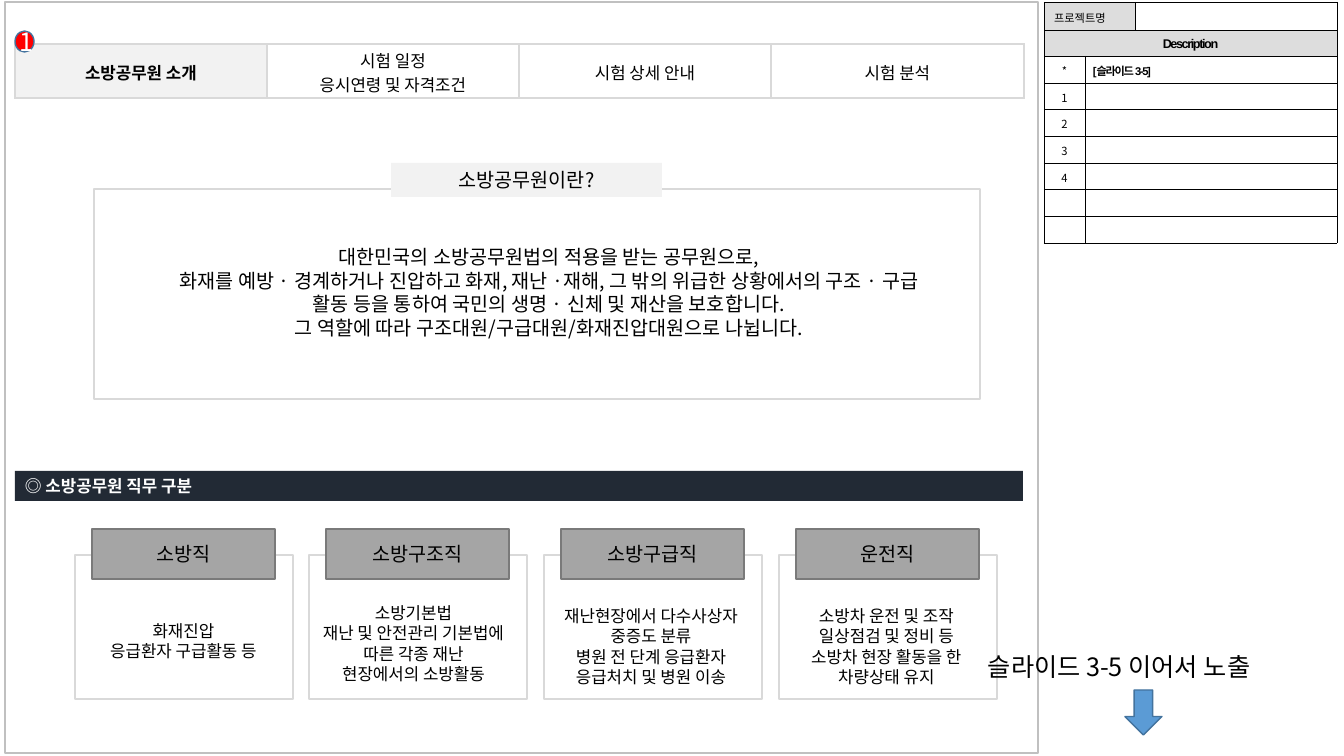
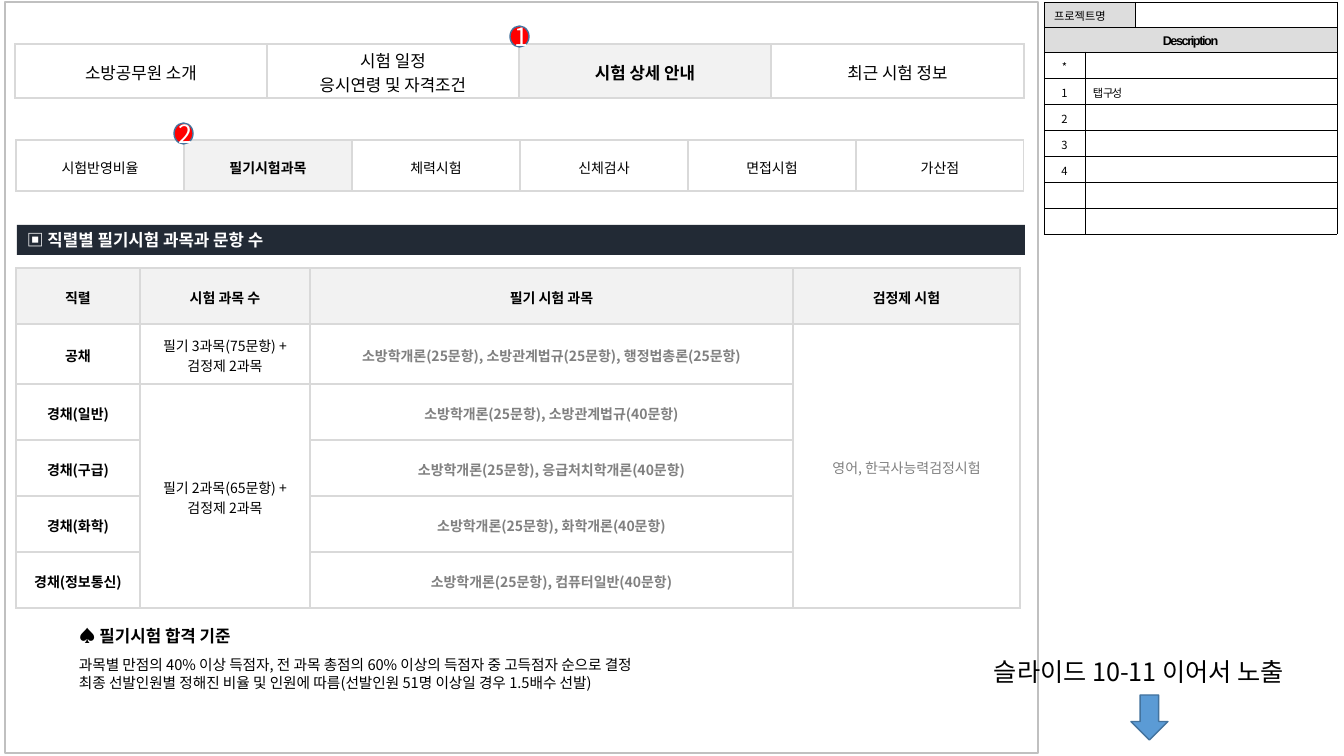
"""Build two storyboard slides about firefighter recruitment."""
from dataclasses import dataclass, replace
from typing import NamedTuple, Optional

from lxml.etree import SubElement
from pptx import Presentation
from pptx.dml.color import RGBColor
from pptx.enum.shapes import MSO_SHAPE
from pptx.enum.text import MSO_ANCHOR, PP_ALIGN
from pptx.oxml import parse_xml
from pptx.oxml.ns import nsdecls, qn
from pptx.util import Emu, Pt

EMU_PER_PX = 914400 / 100.8
KOREAN, LATIN = "Noto Sans CJK KR", "Arial"
BLACK, WHITE, GRAY = "000000", "FFFFFF", "808080"
PALE, RULE, NAVY = "F2F2F2", "D9D9D9", "222A35"
LABEL_FILL, BLUE_EDGE = "DDDDDD", "43739E"


class Box(NamedTuple):
    left: int
    top: int
    width: int
    height: int


@dataclass(frozen=True)
class Style:
    size: float
    font: str = KOREAN
    color: str = BLACK
    bold: bool = False
    centered: bool = True
    tracking: int = 0
    leading: Optional[float] = None


@dataclass(frozen=True)
class Cell:
    text: str
    style: Style
    fill: Optional[str] = None


@dataclass(frozen=True)
class Duty:
    title: str
    text: str
    text_box: Box


@dataclass(frozen=True)
class Note:
    marker: str
    text: str
    bold: bool


BODY = Style(12, leading=1.2)
HEADING = Style(14)
BAND = Style(12, color=WHITE, bold=True, centered=False)
SMALL = Style(8)
SUBJECT = Style(10)
SUBJECT_BOLD = replace(SUBJECT, bold=True)

INTRO = """대한민국의 소방공무원법의 적용을 받는 공무원으로,
화재를 예방 · 경계하거나 진압하고 화재, 재난 ·재해, 그 밖의 위급한 상황에서의 구조 · 구급 활동 등을 통하여 국민의 생명 · 신체 및 재산을 보호합니다.
그 역할에 따라 구조대원/구급대원/화재진압대원으로 나뉩니다."""
CRITERIA = """과목별 만점의 40% 이상 득점자, 전 과목 총점의 60% 이상의 득점자 중 고득점자 순으로 결정
최종 선발인원별 정해진 비율 및 인원에 따름(선발인원 51명 이상일 경우 1.5배수 선발)"""
DUTIES = [
    Duty("소방직", "화재진압\n응급환자 구급활동 등", Box(90, 616, 187, 51)),
    Duty("소방구조직", "소방기본법\n재난 및 안전관리 기본법에 따른 각종 재난\n현장에서의 소방활동",
         Box(307, 598, 213, 92)),
    Duty("소방구급직", "재난현장에서 다수사상자 중증도 분류\n병원 전 단계 응급환자\n응급처치 및 병원 이송",
         Box(548, 601, 206, 92)),
    Duty("운전직", "소방차 운전 및 조작\n일상점검 및 정비 등\n소방차 현장 활동을 한\n차량상태 유지",
         Box(793, 601, 187, 92)),
]
MAIN_TABS = ["소방공무원 소개", "시험 일정\n응시연령 및 자격조건", "시험 상세 안내"]
EXAM_TABS = ["시험반영비율", "필기시험과목", "체력시험", "신체검사", "면접시험", "가산점"]
SUBJECT_HEADS = ["직렬", "시험 과목 수", "필기 시험 과목"]
SUBJECTS = [
    ("공채", "필기 3과목(75문항) + 검정제 2과목",
     "소방학개론(25문항), 소방관계법규(25문항), 행정법총론(25문항)"),
    ("경채(일반)", "필기 2과목(65문항) + 검정제 2과목", "소방학개론(25문항), 소방관계법규(40문항)"),
    ("경채(구급)", "", "소방학개론(25문항), 응급처치학개론(40문항)"),
    ("경채(화학)", "", "소방학개론(25문항), 화학개론(40문항)"),
    ("경채(정보통신)", "", "소방학개론(25문항), 컴퓨터일반(40문항)"),
]


def px(length: int) -> Emu:
    return Emu(round(length * EMU_PER_PX))


def rgb(color: str) -> RGBColor:
    return RGBColor.from_string(color)


def split(total: int, count: int) -> list[int]:
    return [(i + 1) * total // count - i * total // count for i in range(count)]


def write(frame, text: str, style: Style) -> None:
    for i, line in enumerate(text.split("\n")):
        paragraph = frame.add_paragraph() if i else frame.paragraphs[0]
        paragraph.text = line
        paragraph.alignment = PP_ALIGN.CENTER if style.centered else PP_ALIGN.LEFT
        if style.leading:
            paragraph.line_spacing = Pt(style.size * style.leading)
        font = paragraph.font
        font.size, font.bold, font.name = Pt(style.size), style.bold, style.font
        font.color.rgb = rgb(style.color)
        defaults = paragraph._p.pPr.find(qn("a:defRPr"))
        SubElement(defaults, qn("a:ea")).set("typeface", KOREAN)
        if style.tracking:
            defaults.set("spc", str(style.tracking))
        if not line:
            SubElement(paragraph._p, qn("a:endParaRPr")).set("sz", str(int(style.size * 100)))


def add_text(slide, box: Box, text: str, style: Style) -> None:
    frame = slide.shapes.add_textbox(*map(px, box)).text_frame
    frame.word_wrap = True
    write(frame, text, style)


def add_block(slide, box: Box, fill: Optional[str] = None, line: Optional[str] = None,
              text: str = "", style: Style = BODY, preset=MSO_SHAPE.RECTANGLE):
    block = slide.shapes.add_shape(preset, *map(px, box))
    block.shadow.inherit = False
    if fill:
        block.fill.solid()
        block.fill.fore_color.rgb = rgb(fill)
    else:
        block.fill.background()
    if line:
        block.line.color.rgb = rgb(line)
        block.line.width = Pt(1)
    else:
        block.line.fill.background()
    if text:
        frame = block.text_frame
        frame.margin_top = frame.margin_bottom = 0
        frame.vertical_anchor = MSO_ANCHOR.MIDDLE
        write(frame, text, style)
    return block


def add_borders(cell, color: str, width: float) -> None:
    properties = cell._tc.get_or_add_tcPr()
    for i, side in enumerate("LRTB"):
        properties.insert(i, parse_xml(
            f'<a:ln{side} {nsdecls("a")} w="{int(Pt(width))}"><a:solidFill>'
            f'<a:srgbClr val="{color}"/></a:solidFill></a:ln{side}>'))


def add_grid(slide, left: int, top: int, widths: list[int], heights: list[int],
             rows: list[list[Cell]], border: str = RULE, border_width: float = 1):
    box = Box(left, top, sum(widths), sum(heights))
    table = slide.shapes.add_table(len(heights), len(widths), *map(px, box)).table
    table.first_row = table.horz_banding = False
    for column, width in zip(table.columns, widths):
        column.width = px(width)
    for row, height in zip(table.rows, heights):
        row.height = px(height)
    for r, cells in enumerate(rows):
        for c, content in enumerate(cells):
            cell = table.cell(r, c)
            cell.margin_top, cell.margin_bottom = px(3), 0
            cell.vertical_anchor = MSO_ANCHOR.MIDDLE
            write(cell.text_frame, content.text, content.style)
            if content.fill:
                cell.fill.solid()
                cell.fill.fore_color.rgb = rgb(content.fill)
            else:
                cell.fill.background()
            add_borders(cell, border, border_width)
    return table


def add_tabs(slide, box: Box, labels: list[str], active: int, size: int) -> None:
    cells = [Cell(label, Style(size, LATIN, bold=i == active), PALE if i == active else None)
             for i, label in enumerate(labels)]
    add_grid(slide, box.left, box.top, split(box.width, len(labels)), [box.height], [cells])


def add_main_tabs(slide, last: str, active: int) -> None:
    add_tabs(slide, Box(15, 44, 1009, 54), [*MAIN_TABS, last], active, 12)


def add_description(slide, first_height: int, other_heights: int, note: Note) -> None:
    blank = Cell("", SMALL, WHITE)
    label = Cell("프로젝트명", replace(SMALL, centered=False), LABEL_FILL)
    title = Cell("Description", Style(9, LATIN, bold=True, tracking=-100), LABEL_FILL)
    note_style = Style(8, LATIN, bold=note.bold, centered=False, tracking=-100)
    rows = [[label, blank, blank], [title, blank, blank]]
    for marker in ["*", "1", "2", "3", "4", "", ""]:
        entry = Cell(note.text, note_style, WHITE) if marker == note.marker else blank
        rows.append([Cell(marker, SMALL, WHITE), entry, blank])
    heights = [first_height, *split(other_heights, 8)]
    table = add_grid(slide, 1044, 2, [41, 50, 202], heights, rows, BLACK, 0.25)
    table.cell(0, 0).merge(table.cell(0, 1))
    table.cell(1, 0).merge(table.cell(1, 2))
    for r in range(2, len(rows)):
        table.cell(r, 1).merge(table.cell(r, 2))
        table.cell(r, 1).margin_left = px(8)


def add_marker(slide, left: int, top: int, number: str) -> None:
    marker = add_block(slide, Box(left, top, 19, 21), "FF0000", BLUE_EDGE, number,
                       Style(18, color=WHITE), MSO_SHAPE.OVAL)
    marker.text_frame.margin_left, marker.text_frame.margin_right = px(4), 0
    marker.text_frame.word_wrap = False


def add_continuation(slide, left: int, top: int, text: str) -> None:
    add_block(slide, Box(left + 147, top + 44, 37, 45), "5B9BD5", BLUE_EDGE,
              preset=MSO_SHAPE.DOWN_ARROW)
    add_text(slide, Box(left, top, 353, 40), text, Style(18, centered=False, leading=1.2))


def add_band(slide, left: int, top: int, text: str) -> None:
    add_block(slide, Box(left, top, 1008, 30), NAVY, text=text, style=BAND)


def start_slide(deck):
    slide = deck.slides.add_slide(deck.slide_layouts[6])
    add_block(slide, Box(5, 2, 1033, 751), line="C0C0C0")
    return slide


def build_introduction(deck) -> None:
    slide = start_slide(deck)
    add_description(slide, 28, 213, Note("*", "[슬라이드 3-5]", True))
    add_text(slide, Box(153, 240, 792, 105), INTRO, replace(HEADING, leading=1.2))
    add_block(slide, Box(94, 189, 886, 210), line=RULE)
    add_block(slide, Box(391, 163, 271, 34), PALE, text="소방공무원이란?", style=HEADING)
    for i, duty in enumerate(DUTIES):
        left = 75 + i * 704 // 3
        add_block(slide, Box(left, 555, 218, 144), line=RULE)
        add_block(slide, Box(left + 17, 529, 183, 50), "A5A5A5", "7A7A7A", duty.title, HEADING)
        add_text(slide, duty.text_box, duty.text, BODY)
    add_main_tabs(slide, "시험 분석", 0)
    add_marker(slide, 15, 31, "1")
    add_continuation(slide, 978, 646, "슬라이드 3-5 이어서 노출")
    add_band(slide, 15, 471, "◎ 소방공무원 직무 구분")


def build_exam_subjects(deck) -> None:
    slide = start_slide(deck)
    add_description(slide, 25, 207, Note("1", "탭 구성", False))
    rows = [[Cell(head, SUBJECT_BOLD, PALE) for head in SUBJECT_HEADS]]
    for track, count, subjects in SUBJECTS:
        rows.append([Cell(track, SUBJECT_BOLD), Cell(count, SUBJECT),
                     Cell(subjects, replace(SUBJECT_BOLD, color=GRAY))])
    heights = [56, 60, 56, 56, 56, 56]
    table = add_grid(slide, 16, 268, [124, 170, 483], heights, rows)
    table.cell(2, 1).merge(table.cell(5, 1))
    add_band(slide, 17, 225, "▣ 직렬별 필기시험 과목과 문항 수")
    add_tabs(slide, Box(16, 140, 1008, 51), EXAM_TABS, 1, 10)
    add_text(slide, Box(69, 651, 952, 45), CRITERIA, Style(10.5, centered=False, leading=1.2))
    add_text(slide, Box(69, 621, 965, 30), "♠ 필기시험 합격 기준",
             replace(BODY, bold=True, centered=False))
    add_grid(slide, 793, 268, [227], [heights[0], sum(heights[1:])],
             [[Cell("검정제 시험", SUBJECT_BOLD, PALE)],
              [Cell("영어, 한국사능력검정시험", replace(SUBJECT, color=GRAY))]])
    add_main_tabs(slide, "최근 시험 정보", 2)
    add_marker(slide, 174, 123, "2")
    add_marker(slide, 510, 26, "1")
    add_continuation(slide, 984, 651, "슬라이드 10-11 이어서 노출")


def main() -> None:
    deck = Presentation()
    deck.slide_width, deck.slide_height = px(1344), px(756)
    build_introduction(deck)
    build_exam_subjects(deck)
    deck.save("out.pptx")


if __name__ == "__main__":
    main()
